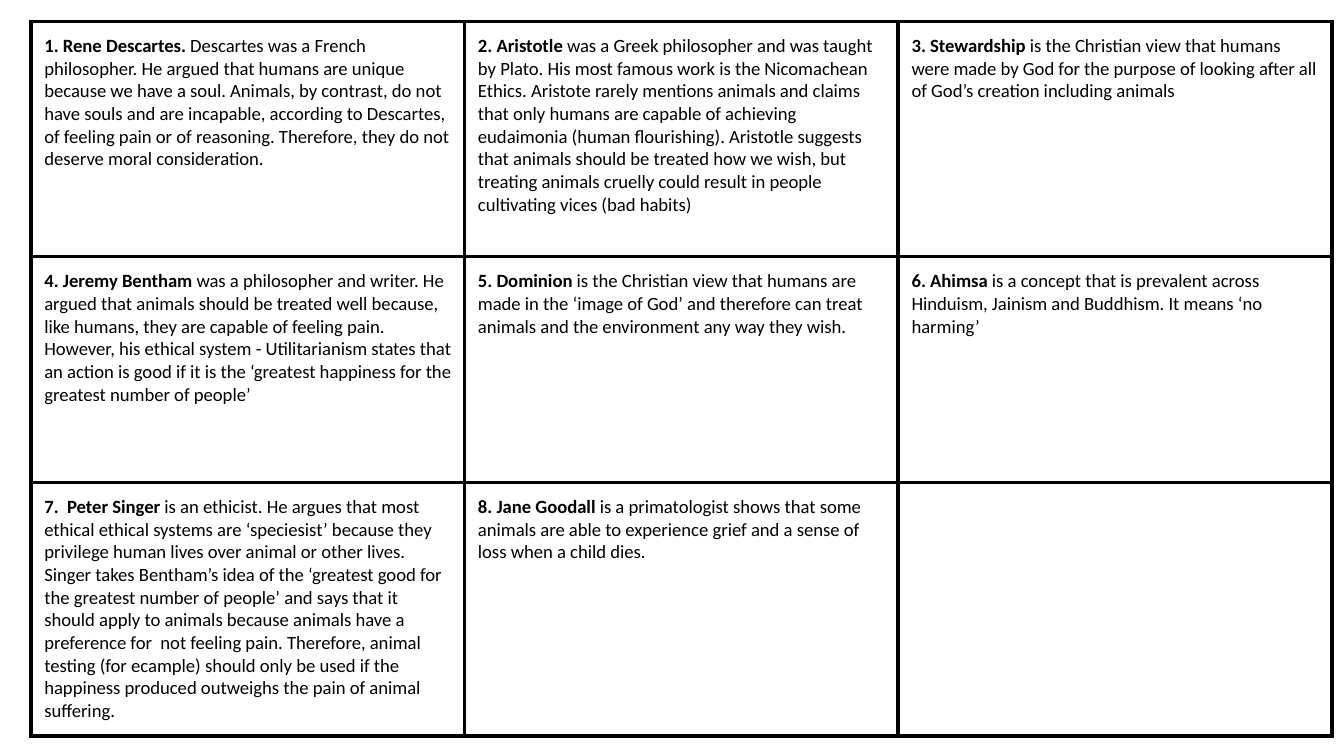
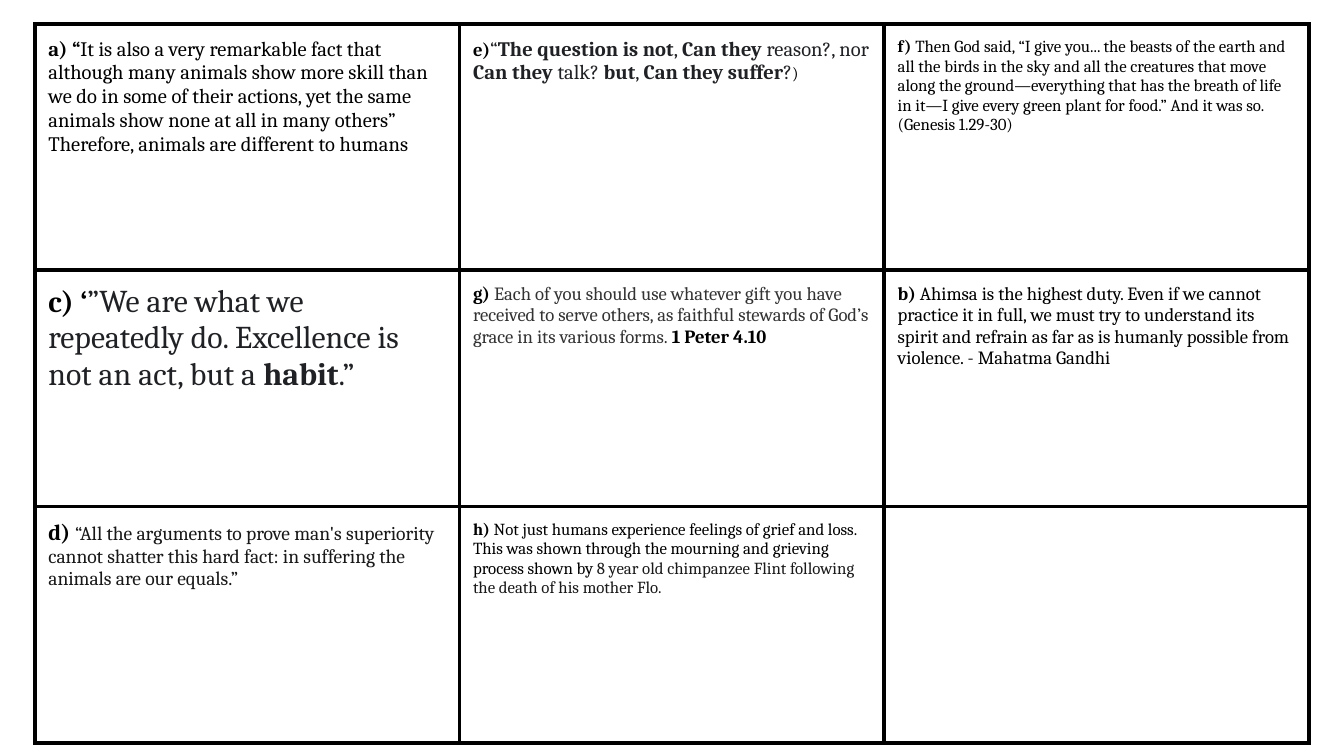
from lxml import etree
from pptx import Presentation
from pptx.dml.color import RGBColor
from pptx.oxml.ns import qn
from pptx.util import Inches, Pt

BLACK = RGBColor(0, 0, 0)
INK = RGBColor(0x20, 0x21, 0x24)
GREY = RGBColor(0x33, 0x33, 0x33)
DARK = RGBColor(0x18, 0x18, 0x18)
SOFT = RGBColor(0x1A, 0x1A, 0x1A)
BORDER = Pt(2.25)
PAD = Inches(0.1)
COLS = 3

THINKERS = [
    ("1. Rene Descartes. ",
     "Descartes was a French philosopher. He argued that humans are unique because we have a soul. "
     "Animals, by contrast, do not have souls and are incapable, according to Descartes, of feeling "
     "pain or of reasoning. Therefore, they do not deserve moral consideration."),
    ("2. Aristotle ",
     "was a Greek philosopher and was taught by Plato. His most famous work is the Nicomachean "
     "Ethics. Aristote rarely mentions animals and claims that only humans are capable of achieving "
     "eudaimonia (human flourishing). Aristotle suggests that animals should be treated how we wish, "
     "but treating animals cruelly could result in people cultivating vices (bad habits)"),
    ("3. Stewardship ",
     "is the Christian view that humans were made by God for the purpose of looking after all of "
     "God’s creation including animals"),
    ("4. Jeremy Bentham ",
     "was a philosopher and writer. He argued that animals should be treated well because, like "
     "humans, they are capable of feeling pain. However, his ethical system - Utilitarianism states "
     "that an action is good if it is the ‘greatest happiness for the greatest number of people’"),
    ("5. Dominion ",
     "is the Christian view that humans are made in the ‘image of God’ and therefore can treat "
     "animals and the environment any way they wish."),
    ("6. Ahimsa ",
     "is a concept that is prevalent across Hinduism, Jainism and Buddhism. It means ‘no harming’"),
    ("7.  Peter Singer ",
     "is an ethicist. He argues that most ethical ethical systems are ‘speciesist’ because they "
     "privilege human lives over animal or other lives. Singer takes Bentham’s idea of the ‘greatest "
     "good for the greatest number of people’ and says that it should apply to animals because "
     "animals have a preference for  not feeling pain. Therefore, animal testing (for ecample) should "
     "only be used if the happiness produced outweighs the pain of animal suffering."),
    ("8. Jane Goodall ",
     "is a primatologist shows that some animals are able to experience grief and a sense of loss "
     "when a child dies."),
]

QUOTES = [
    [("a) “", True, 11, BLACK),
     ("It is also a very remarkable fact that although many animals show more skill than we do in "
      "some of their actions, yet the same animals show none at all in many others” Therefore, "
      "animals are different to humans", False, 11, BLACK)],
    [("e)", True, 10, BLACK),
     ("“", False, 11, INK),
     ("The question is not", True, 11, INK),
     (", ", False, 11, INK),
     ("Can they", True, 11, INK),
     (" reason?, nor ", False, 11, INK),
     ("Can they", True, 11, INK),
     (" talk? ", False, 11, INK),
     ("but", True, 11, INK),
     (", ", False, 11, INK),
     ("Can they suffer", True, 11, INK),
     ("?", False, 11, INK),
     (")", False, 9, BLACK)],
    [("f) ", True, 9, BLACK),
     ("Then God said, “I give you... the beasts of the earth and all the birds in the sky and all "
      "the creatures that move along the ground—everything that has the breath of life in it—I give "
      "every green plant for food.” And it was so. (Genesis 1.29-30)", False, 9, BLACK)],
    [("c) ‘", True, 16, BLACK),
     ("”We are what we repeatedly do. Excellence is not an act, but a ", False, 17, INK),
     ("habit", True, 17, INK),
     (".”", False, 17, INK)],
    [("g) ", True, 10, BLACK),
     ("Each of you should use whatever gift you have received to serve others, as faithful stewards "
      "of God’s grace in its various forms.", False, 10, GREY),
     (" 1 Peter 4.10", True, 10, BLACK)],
    [("b) ", True, 10, BLACK),
     ("Ahimsa is the highest duty. Even if we cannot practice it in full, we must try to understand "
      "its spirit and refrain as far as is humanly possible from violence. - Mahatma Gandhi",
      False, 10, BLACK)],
    [("d) ", True, 12, BLACK),
     ("“All the arguments to prove man's superiority cannot shatter this hard fact: in suffering the "
      "animals are our equals.”", False, 10.5, DARK)],
    [("h) ", True, 9, BLACK),
     ("Not just humans experience feelings of grief and loss. This was shown through the mourning "
      "and grieving process shown by ", False, 9, BLACK),
     ("8 year old chimpanzee Flint following the death of his mother Flo.", False, 9, SOFT)],
]

THINKER_CARDS = [[(name, True, 10, BLACK), (about, False, 10, BLACK)] for name, about in THINKERS]

SLIDES = [
    (THINKER_CARDS, "Calibri", (0.23, 0.16, 9.68), (1.75, 1.68, 1.8)),
    (QUOTES, "Cambria", (0.26, 0.18, 9.48), (1.83, 1.76, 1.76)),
]


def style_cell(cell):
    cell.margin_left = cell.margin_right = cell.margin_top = cell.margin_bottom = PAD
    cell.fill.background()
    tc_pr = cell._tc.get_or_add_tcPr()
    for i, side in enumerate(("a:lnL", "a:lnR", "a:lnT", "a:lnB")):
        ln = etree.Element(qn(side), w=str(int(BORDER)))
        fill = etree.SubElement(ln, qn("a:solidFill"))
        etree.SubElement(fill, qn("a:srgbClr"), val=str(BLACK))
        tc_pr.insert(i, ln)


def write_card(cell, runs, font):
    p = cell.text_frame.paragraphs[0]
    for text, bold, size, color in runs:
        r = p.add_run()
        r.text = text
        r.font.name = font
        r.font.size = Pt(size)
        r.font.bold = bold
        r.font.color.rgb = color


def add_card_grid(prs, cards, font, box, heights):
    s = prs.slides.add_slide(prs.slide_layouts[6])
    left, top, width = box
    table = s.shapes.add_table(len(heights), COLS, Inches(left), Inches(top),
                               Inches(width), Inches(sum(heights))).table
    table.first_row = table.horz_banding = False
    for row, height in zip(table.rows, heights):
        row.height = Inches(height)
    for cell in table.iter_cells():
        style_cell(cell)
    for cell, runs in zip(table.iter_cells(), cards):
        write_card(cell, runs, font)


def main():
    prs = Presentation()
    prs.slide_width = Inches(10)
    prs.slide_height = prs.slide_width * 9 // 16
    for slide in SLIDES:
        add_card_grid(prs, *slide)
    prs.save("out.pptx")


if __name__ == "__main__":
    main()
